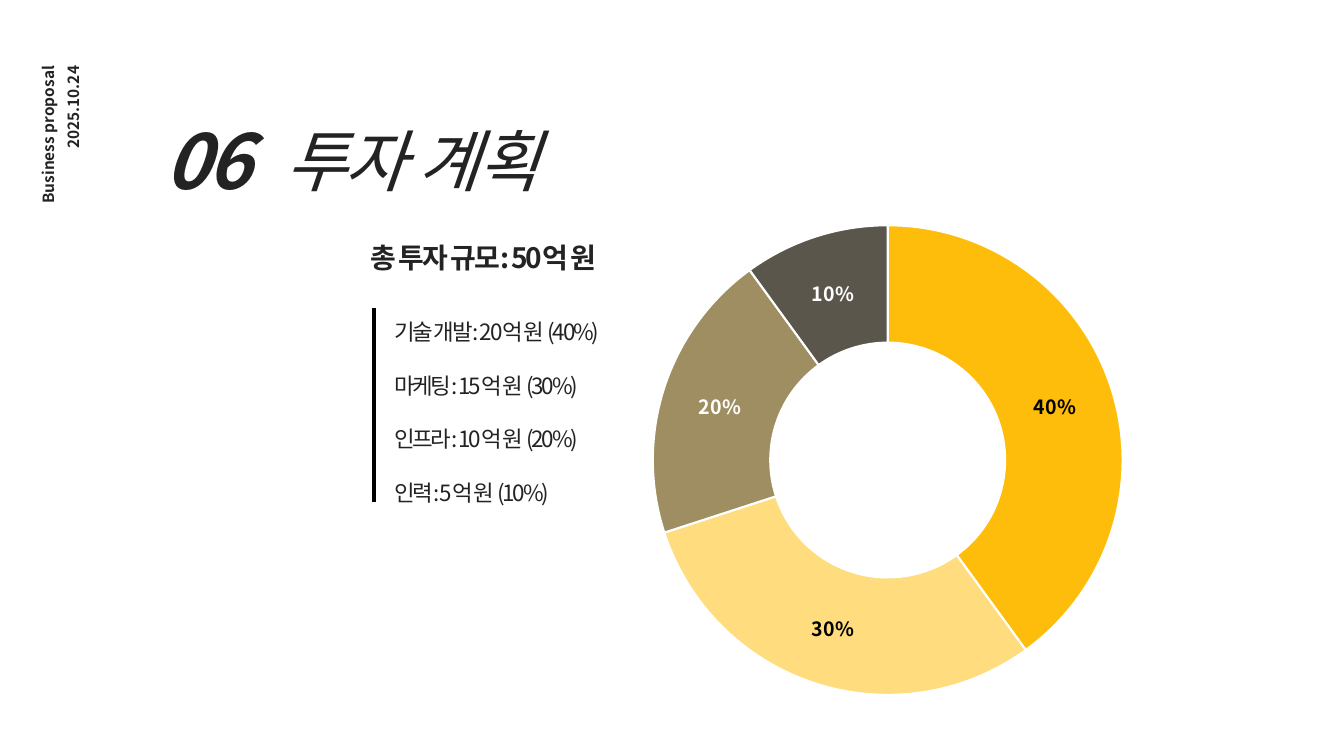
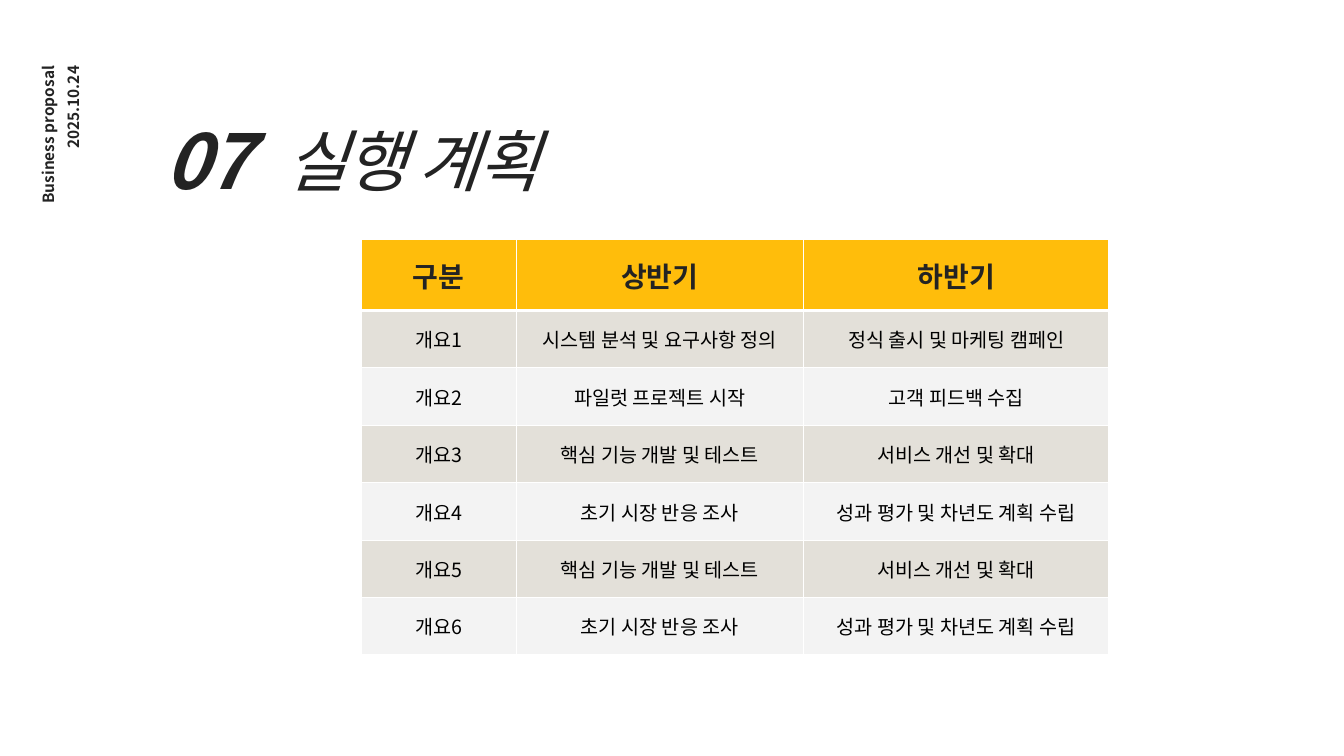
"""Build the investment and execution plan slides of a business proposal."""
from lxml import etree
from pptx import Presentation, util as u
from pptx.chart.data import CategoryChartData
from pptx.dml.color import RGBColor
from pptx.enum import chart as charts, shapes, text
from pptx.oxml import parse_xml
from pptx.oxml.ns import nsdecls, qn

FONT = "Noto Sans CJK KR"
COLORS = {
    "ink": "232323", "black": "000000", "white": "FFFFFF", "gold": "FFBD0B",
    "cream": "FFDC7E", "khaki": "9F8E61", "umber": "5A564B",
    "stone": "E3E0D9", "mist": "F3F3F3",
}
SIDE_NOTES = ["Business proposal", "2025.10.24"]
TOTAL = "총 투자 규모: 50억 원"
BUDGET = [
    "기술 개발: 20억 원 (40%)",
    "마케팅: 15억 원 (30%)",
    "인프라: 10억 원 (20%)",
    "인력: 5억 원 (10%)",
]
SHARES = [
    (0.4, "gold", "black"), (0.3, "cream", "black"),
    (0.2, "khaki", "white"), (0.1, "umber", "white"),
]
SCHEDULE = [
    ("구분", "상반기", "하반기"),
    ("개요1", "시스템 분석 및 요구사항 정의", "정식 출시 및 마케팅 캠페인"),
    ("개요2", "파일럿 프로젝트 시작", "고객 피드백 수집"),
    ("개요3", "핵심 기능 개발 및 테스트", "서비스 개선 및 확대"),
    ("개요4", "초기 시장 반응 조사", "성과 평가 및 차년도 계획 수립"),
    ("개요5", "핵심 기능 개발 및 테스트", "서비스 개선 및 확대"),
    ("개요6", "초기 시장 반응 조사", "성과 평가 및 차년도 계획 수립"),
]
COLUMN_WIDTHS = [1.54, 2.85, 3.03]
HEADER_HEIGHT, ROW_HEIGHT = 0.7, 0.57
CONTENT_LEFT = 3.58


def rgb(name):
    return RGBColor.from_string(COLORS[name])


def style_font(font, size, color="ink", bold=False, italic=False):
    font.name, font.size = FONT, u.Pt(size)
    font.bold, font.italic = bold, italic
    font.color.rgb = rgb(color)


def style_frame(frame, size, color="ink", bold=False, italic=False,
                align=text.PP_ALIGN.LEFT, tracking=0, spacing=None):
    for para in frame.paragraphs:
        para.alignment = align
        if spacing:
            para.line_spacing = spacing
        for span in para.runs:
            style_font(span.font, size, color, bold, italic)
            props = span._r.get_or_add_rPr()
            etree.SubElement(props, qn("a:ea"), typeface=FONT)
            if tracking:
                props.set("spc", str(round(tracking * 100)))


def add_text(page, words, left, top, width, height, size, **style):
    box = page.shapes.add_textbox(*map(u.Inches, (left, top, width, height)))
    box.text_frame.word_wrap = True
    box.text_frame.auto_size = text.MSO_AUTO_SIZE.SHAPE_TO_FIT_TEXT
    box.text_frame.text = words
    style_frame(box.text_frame, size, **style)
    return box


def add_page(deck, number, title):
    page = deck.slides.add_slide(deck.slide_layouts[6])
    page.background.fill.solid()
    page.background.fill.fore_color.rgb = rgb("white")
    for index, note in enumerate(SIDE_NOTES):
        box = add_text(page, note, -0.41 + 0.25 * index, 1.3, 1.78, 0.29, 11,
                       bold=True, align=text.PP_ALIGN.RIGHT)
        box.rotation = 270
    add_text(page, number, 1.53, 1.08, 1.33, 1.01, 54,
             bold=True, italic=True, tracking=-1.5)
    add_text(page, title, 2.73, 1.13, 6.78, 0.91, 48,
             italic=True, tracking=-1.5)
    return page


def add_budget(page):
    add_text(page, TOTAL, CONTENT_LEFT, 2.34, 2.68, 0.44, 20,
             bold=True, tracking=-1.5)
    add_text(page, "\n".join(BUDGET), 3.81, 2.84, 2.44, 2.17, 16,
             tracking=-1.5, spacing=2.0)
    rule = page.shapes.add_connector(
        shapes.MSO_CONNECTOR.STRAIGHT, *map(u.Inches, (3.71, 3.06, 3.71, 4.98)))
    rule.line.color.rgb = rgb("black")
    rule.line.width = u.Pt(3)
    etree.SubElement(rule._element.spPr, qn("a:effectLst"))


def add_doughnut(page):
    data = CategoryChartData(number_format="0%")
    data.categories = [str(i + 1) for i in range(len(SHARES))]
    data.add_series("Series 1", [value for value, _, _ in SHARES])
    width, height, diameter = 7.05, 4.95, 4.66
    chart = page.shapes.add_chart(
        charts.XL_CHART_TYPE.DOUGHNUT,
        *map(u.Inches, (5.28, 2.09, width, height)), data).chart
    chart.has_legend = chart.has_title = False
    style_font(chart.font, 10, "black")

    plot = chart.plots[0]
    plot.vary_by_categories = True
    plot._element.find(qn("c:holeSize")).set("val", "55")
    plot.has_data_labels = True
    labels = plot.data_labels
    labels.show_value, labels.show_percentage = True, False
    labels.number_format, labels.number_format_is_linked = "0%", False
    style_font(labels.font, 14, "black", bold=True)
    for index, (_, fill, label_color) in enumerate(SHARES):
        point = plot.series[0].points[index]
        point.format.fill.solid()
        point.format.fill.fore_color.rgb = rgb(fill)
        point.format.line.color.rgb = rgb("white")
        point.format.line.width = u.Pt(1.5)
        style_font(point.data_label.font, 14, label_color, bold=True)

    area = plot._element.getparent()
    for layout in area.findall(qn("c:layout")):
        area.remove(layout)
    share_x, share_y = diameter / width, diameter / height
    settings = {
        "layoutTarget": "inner", "xMode": "edge", "yMode": "edge",
        "x": (1 - share_x) / 2, "y": (1 - share_y) / 2,
        "w": share_x, "h": share_y,
    }
    layout = parse_xml(f"<c:layout {nsdecls('c')}><c:manualLayout/></c:layout>")
    for name, value in settings.items():
        etree.SubElement(layout[0], qn(f"c:{name}"), val=str(value))
    area.insert(0, layout)


def add_borders(cell, row):
    widths = {"L": 1, "R": 1, "T": 3 if row == 1 else 1,
              "B": 3 if row == 0 else 1}
    for side, width in widths.items():
        cell._tc.get_or_add_tcPr().append(parse_xml(
            f'<a:ln{side} {nsdecls("a")} w="{u.Pt(width)}"><a:solidFill>'
            f'<a:srgbClr val="{COLORS["white"]}"/></a:solidFill></a:ln{side}>'))


def add_schedule(page):
    heights = [HEADER_HEIGHT] + [ROW_HEIGHT] * (len(SCHEDULE) - 1)
    table = page.shapes.add_table(
        len(SCHEDULE), len(COLUMN_WIDTHS), u.Inches(CONTENT_LEFT), u.Inches(2.38),
        u.Inches(sum(COLUMN_WIDTHS)), u.Inches(sum(heights))).table
    for column, width in zip(table.columns, COLUMN_WIDTHS):
        column.width = u.Inches(width)
    for row, (height, words) in enumerate(zip(heights, SCHEDULE)):
        header = row == 0
        fill = "gold" if header else ("mist", "stone")[row % 2]
        table.rows[row].height = u.Inches(height)
        for column, word in enumerate(words):
            cell = table.cell(row, column)
            cell.text_frame.text = word
            cell.vertical_anchor = text.MSO_ANCHOR.MIDDLE
            cell.margin_left = cell.margin_right = u.Inches(0.1)
            cell.margin_top = cell.margin_bottom = u.Inches(0.06)
            style_frame(cell.text_frame, 20 if header else 14,
                        "ink" if header else "black", bold=header,
                        align=text.PP_ALIGN.CENTER)
            add_borders(cell, row)
            cell.fill.solid()
            cell.fill.fore_color.rgb = rgb(fill)


def main():
    deck = Presentation()
    deck.slide_width, deck.slide_height = u.Inches(13.33), u.Inches(7.5)
    investment = add_page(deck, "06", "투자 계획")
    add_budget(investment)
    add_doughnut(investment)
    add_schedule(add_page(deck, "07", "실행 계획"))
    deck.save("out.pptx")


if __name__ == "__main__":
    main()
